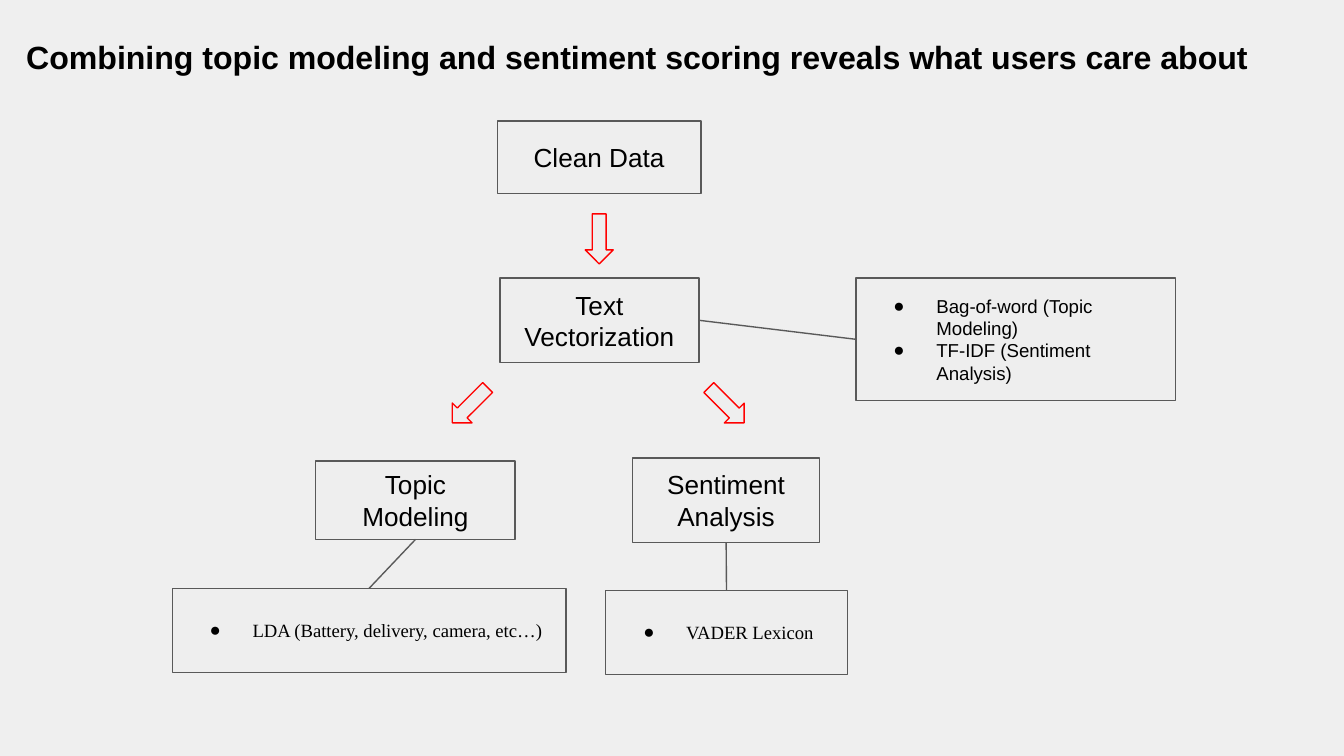
"""Build a slide with a flowchart of the text analysis steps."""
from lxml.etree import SubElement
from pptx import Presentation
from pptx.dml.color import RGBColor
from pptx.enum.shapes import MSO_CONNECTOR, MSO_SHAPE
from pptx.enum.text import MSO_ANCHOR, PP_ALIGN
from pptx.oxml.ns import qn
from pptx.util import Pt

COLORS = {"background": "EFEFEF", "box": "EEEEEE", "line": "595959", "arrow": "FF0000", "text": "000000"}
TITLE = "Combining topic modeling and sentiment scoring reveals what users care about"
STEPS = {
    "clean": ("Clean Data", (266.4, 64.8, 109.2, 38.9)),
    "vectors": ("Text Vectorization", (267.8, 149, 106.6, 45.2)),
    "topics": ("Topic Modeling", (169.2, 247, 106.8, 42)),
    "sentiment": ("Sentiment Analysis", (339, 245.3, 100, 45.2)),
}
DETAILS = {
    "methods": (["Bag-of-word (Topic Modeling)", "TF-IDF (Sentiment Analysis)"], "Arial", (458.6, 149, 171.2, 65.6)),
    "lda": (["LDA (Battery, delivery, camera, etc…)"], "Times New Roman", (92.3, 315.2, 210.9, 45)),
    "lexicon": (["VADER Lexicon"], "Times New Roman", (324.5, 316.3, 129.4, 45)),
}
TOP, LEFT, BOTTOM, RIGHT = range(4)
LINKS = [
    ("vectors", RIGHT, "methods", LEFT),
    ("topics", BOTTOM, "lda", TOP),
    ("sentiment", BOTTOM, "lexicon", TOP),
]
ARROW_SIZE = (15, 26.8)
ARROWS = [(313.5, 114.6, 0), (244.3, 203.7, 45), (381.7, 203.7, 315)]


def color(name):
    return RGBColor.from_string(COLORS[name])


def points(values):
    return [Pt(value) for value in values]


def add_outlined(slide, kind, frame, line_color):
    shape = slide.shapes.add_shape(kind, *points(frame))
    shape.shadow.inherit = False
    shape.fill.solid()
    shape.fill.fore_color.rgb = color("box")
    shape.line.color.rgb = color(line_color)
    shape.line.width = Pt(0.75)
    return shape


def add_bullet(paragraph):
    properties = paragraph._p.get_or_add_pPr()
    properties.set("marL", str(Pt(36)))
    properties.set("indent", str(Pt(-23)))
    bullet_color = SubElement(properties, qn("a:buClr"))
    SubElement(bullet_color, qn("a:srgbClr"), val=COLORS["text"])
    SubElement(properties, qn("a:buFont"), typeface="Arial")
    SubElement(properties, qn("a:buChar"), char="●")


def write(shape, lines, size, font="Arial", bold=False, align=PP_ALIGN.LEFT, anchor=MSO_ANCHOR.MIDDLE, bullets=False):
    frame = shape.text_frame
    frame.word_wrap = True
    frame.vertical_anchor = anchor
    frame.margin_left = frame.margin_top = frame.margin_right = frame.margin_bottom = Pt(7.2)
    for index, line in enumerate(lines):
        paragraph = frame.add_paragraph() if index else frame.paragraphs[0]
        paragraph.alignment = align
        if bullets:
            add_bullet(paragraph)
        run = paragraph.add_run()
        run.text = line
        run.font.size = Pt(size)
        run.font.name = font
        run.font.bold = bold
        run.font.color.rgb = color("text")


def add_link(slide, start, start_side, end, end_side):
    connector = slide.shapes.add_connector(MSO_CONNECTOR.STRAIGHT, 0, 0, 0, 0)
    connector.begin_connect(start, start_side)
    connector.end_connect(end, end_side)
    connector.line.color.rgb = color("line")
    connector.line.width = Pt(0.75)
    SubElement(connector._element.spPr, qn("a:effectLst"))


def main():
    presentation = Presentation()
    presentation.slide_width, presentation.slide_height = Pt(720), Pt(405)
    slide = presentation.slides.add_slide(presentation.slide_layouts[6])
    slide.background.fill.solid()
    slide.background.fill.fore_color.rgb = color("background")

    title = slide.shapes.add_textbox(*points((7, 13, 706, 56)))
    write(title, [TITLE], 17.2, bold=True, anchor=MSO_ANCHOR.TOP)

    boxes = {}
    for name, (label, frame) in STEPS.items():
        boxes[name] = add_outlined(slide, MSO_SHAPE.RECTANGLE, frame, "line")
        write(boxes[name], [label], 14, align=PP_ALIGN.CENTER)
    for name, (lines, font, frame) in DETAILS.items():
        boxes[name] = add_outlined(slide, MSO_SHAPE.RECTANGLE, frame, "line")
        write(boxes[name], lines, 10, font=font, bullets=True)
    for left, top, rotation in ARROWS:
        arrow = add_outlined(slide, MSO_SHAPE.DOWN_ARROW, (left, top, *ARROW_SIZE), "arrow")
        arrow.rotation = rotation
    for start, start_side, end, end_side in LINKS:
        add_link(slide, boxes[start], start_side, boxes[end], end_side)

    presentation.save("out.pptx")


if __name__ == "__main__":
    main()
